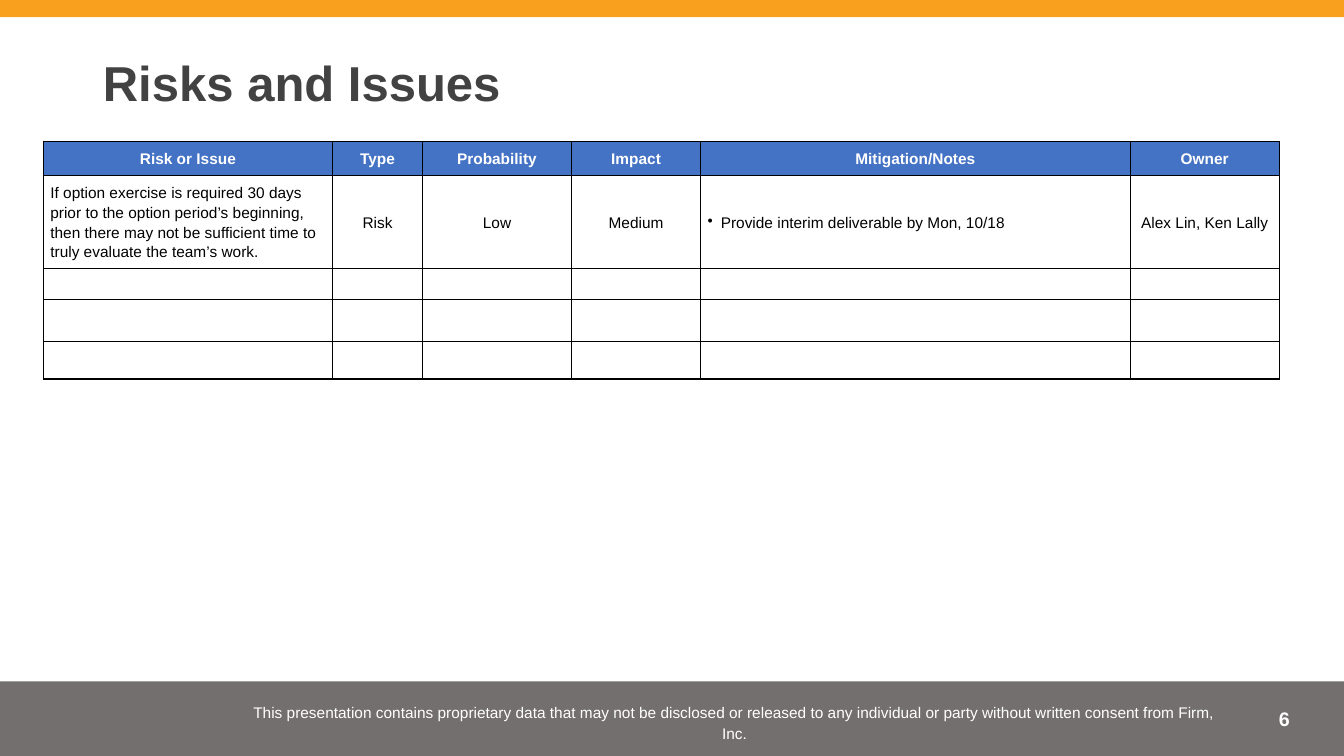
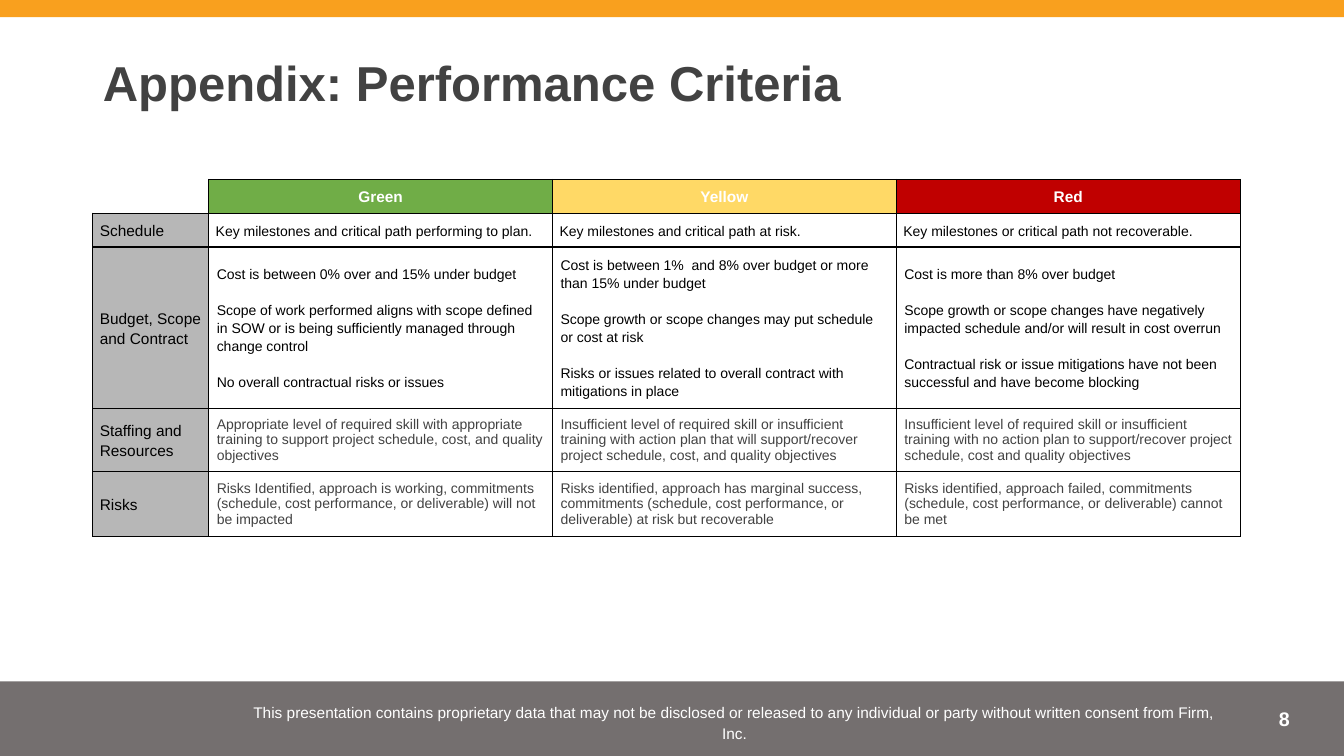
from dataclasses import dataclass, replace
from typing import NamedTuple

from lxml import etree
from pptx import Presentation
from pptx.dml.color import RGBColor
from pptx.enum.shapes import MSO_SHAPE
from pptx.enum.text import MSO_ANCHOR, MSO_AUTO_SIZE, PP_ALIGN
from pptx.oxml.ns import qn
from pptx.util import Pt

RECT = MSO_SHAPE.RECTANGLE
LEFT, CENTER, RIGHT = PP_ALIGN.LEFT, PP_ALIGN.CENTER, PP_ALIGN.RIGHT
TOP, MIDDLE = MSO_ANCHOR.TOP, MSO_ANCHOR.MIDDLE
NO_AUTOFIT = MSO_AUTO_SIZE.NONE
TITLE_ONLY = 5
PX = 9144  # EMU per px, 100 px to the inch


class Box(NamedTuple):
    x: int
    y: int
    w: int
    h: int

    def emu(self):
        return [length * PX for length in self]

    def inner(self, x, y, w, h):
        return Box(self.x + x, self.y + y, w, h)


@dataclass(frozen=True)
class Theme:
    font: str = "Arial"
    white: str = "FFFFFF"
    black: str = "000000"
    ink: str = "424242"
    orange: str = "F9A01E"
    footer: str = "4F4949"
    header: str = "4472C4"
    label: str = "B7B7B7"
    green: str = "70AD47"
    yellow: str = "FFD966"
    red: str = "C00000"
    title_size: int = 35
    number_size: int = 14
    text_size: int = 11
    small_size: int = 10
    empty_size: int = 8


@dataclass(frozen=True)
class TextStyle:
    size: int
    color: str
    bold: bool = False
    align: PP_ALIGN = LEFT
    anchor: MSO_ANCHOR = MIDDLE
    line: float = 1.15
    gap: int = 0  # points before every paragraph but the first
    bullet: bool = False
    inset: int = 7
    fill: str = ""


THEME = Theme()
PAGE = Box(0, 0, 1333, 750)

TITLE = TextStyle(THEME.title_size, THEME.ink, bold=True, line=0.9)
NUMBER = TextStyle(THEME.number_size, THEME.white, bold=True, align=RIGHT,
                   anchor=TOP, line=1)
NOTICE = TextStyle(THEME.text_size, THEME.white, align=CENTER)
HEADER = TextStyle(THEME.text_size, THEME.white, bold=True, align=CENTER,
                   fill=THEME.header)
BODY = TextStyle(THEME.text_size, THEME.black)
CENTERED = replace(BODY, align=CENTER)
BULLETED = replace(BODY, bullet=True)
LABEL = replace(BODY, fill=THEME.label)
SHORT = replace(BODY, size=THEME.small_size)
SPACED = replace(SHORT, gap=13, inset=8)
DENSE = replace(SHORT, color=THEME.ink, line=1, inset=8)

NOTICE_TEXT = ("This presentation contains proprietary data that may not be "
               "disclosed or released to any individual or party without "
               "written consent from Firm, Inc.")

RISK_COLUMNS = [287, 89, 148, 128, 426, 148]
RISK_ROWS = [34, 92, 31, 42, 37]
RISK_HEADERS = ["Risk or Issue", "Type", "Probability", "Impact",
                "Mitigation/Notes", "Owner"]
RISK = [
    ("If option exercise is required 30 days prior to the option period’s "
     "beginning, then there may not be sufficient time to truly evaluate "
     "the team’s work.", BODY),
    ("Risk", CENTERED),
    ("Low", CENTERED),
    ("Medium", CENTERED),
    ("Provide interim deliverable by Mon, 10/18", BULLETED),
    ("Alex Lin, Ken Lally", CENTERED),
]

CRITERIA_COLUMNS = [115, 341, 341, 341]
CRITERIA_ROWS = [33, 33, 160, 63, 64]
RATINGS = [("Green", THEME.green), ("Yellow", THEME.yellow), ("Red", THEME.red)]
CRITERIA = [
    ("Schedule", SHORT, [
        "Key milestones and critical path performing to plan.",
        "Key milestones and critical path at risk.",
        "Key milestones or critical path not recoverable."]),
    ("Budget, Scope and Contract", SPACED, [
        "Cost is between 0% over and 15% under budget\n"
        "Scope of work performed aligns with scope defined in SOW or is "
        "being sufficiently managed through change control\n"
        "No overall contractual risks or issues",
        "Cost is between 1%  and 8% over budget or more than 15% under budget\n"
        "Scope growth or scope changes may put schedule or cost at risk\n"
        "Risks or issues related to overall contract with mitigations in place",
        "Cost is more than 8% over budget\n"
        "Scope growth or scope changes have negatively impacted schedule "
        "and/or will result in cost overrun\n"
        "Contractual risk or issue mitigations have not been successful and "
        "have become blocking"]),
    ("Staffing and Resources", DENSE, [
        "Appropriate level of required skill with appropriate training to "
        "support project schedule, cost, and quality objectives",
        "Insufficient level of required skill or insufficient training with "
        "action plan that will support/recover project schedule, cost, and "
        "quality objectives",
        "Insufficient level of required skill or insufficient training with "
        "no action plan to support/recover project schedule, cost and "
        "quality objectives"]),
    ("Risks", DENSE, [
        "Risks Identified, approach is working, commitments (schedule, cost "
        "performance, or deliverable) will not be impacted",
        "Risks identified, approach has marginal success, commitments "
        "(schedule, cost performance, or deliverable) at risk but recoverable",
        "Risks identified, approach failed, commitments (schedule, cost "
        "performance, or deliverable) cannot be met"]),
]


# Text
def add_bullet(paragraph):
    props = paragraph._p.get_or_add_pPr()
    props.set("marL", str(13 * PX))
    props.set("indent", str(-13 * PX))
    etree.SubElement(props, qn("a:buChar")).set("char", "•")


def write(frame, text, style):
    for index, line in enumerate(text.split("\n")):
        paragraph = frame.add_paragraph() if index else frame.paragraphs[0]
        paragraph.alignment = style.align
        paragraph.line_spacing = style.line
        paragraph.space_before = Pt(style.gap if index else 0)
        if style.bullet:
            paragraph.space_after = Pt(6)
            add_bullet(paragraph)
        run = paragraph.add_run()
        run.text = line
        run.font.name = THEME.font
        run.font.size = Pt(style.size)
        run.font.bold = style.bold
        run.font.color.rgb = RGBColor.from_string(style.color)


def write_box(shape, box, text, style, inset_y=10):
    shape.left, shape.top, shape.width, shape.height = box.emu()
    frame = shape.text_frame
    frame.word_wrap = True
    frame.auto_size = NO_AUTOFIT
    frame.vertical_anchor = style.anchor
    frame.margin_left = frame.margin_right = 10 * PX
    frame.margin_top = frame.margin_bottom = inset_y * PX
    write(frame, text, style)


# Bands and notice, kept on the layout
def add_band(slide, box, color, opacity=100):
    band = slide.shapes.add_shape(RECT, *box.emu())
    band.shadow.inherit = False
    band.line.fill.background()
    band.fill.solid()
    band.fill.fore_color.rgb = RGBColor.from_string(color)
    if opacity < 100:
        tint = band._element.spPr.find(qn("a:solidFill"))[0]
        etree.SubElement(tint, qn("a:alpha")).set("val", str(opacity * 1000))
    return band


def furnish_layout(layout, slide, page):
    notice_box = page.inner(227, 689, 1003, 53)
    notice = slide.shapes.add_textbox(*notice_box.emu())
    write_box(notice, notice_box, NOTICE_TEXT, NOTICE)
    bands = [add_band(slide, page.inner(0, 676, page.w, 74), THEME.footer, 79),
             add_band(slide, page.inner(0, 0, page.w, 17), THEME.orange)]
    for number, part in enumerate(bands + [notice], start=20):
        part._element.nvSpPr.cNvPr.set("id", str(number))
        layout.shapes._spTree.append(part._element)


def add_heading(slide, page, title, number):
    write_box(slide.shapes.title, page.inner(92, 46, 1150, 77), title, TITLE)
    number_box = page.inner(1181, 696, 108, 40)
    page_number = slide.shapes.add_textbox(*number_box.emu())
    write_box(page_number, number_box, number, NUMBER, inset_y=5)


# Tables
def set_borders(cell, visible_sides="LRTB"):
    props = cell._tc.get_or_add_tcPr()
    for position, side in enumerate("LRTB"):
        line = etree.Element(qn(f"a:ln{side}"), w=str(Pt(1)))
        if side in visible_sides:
            fill = etree.SubElement(line, qn("a:solidFill"))
            etree.SubElement(fill, qn("a:srgbClr")).set("val", THEME.black)
        else:
            etree.SubElement(line, qn("a:noFill"))
        props.insert(position, line)


def fill_cell(cell, text, style):
    cell.vertical_anchor = style.anchor
    cell.margin_left = cell.margin_right = style.inset * PX
    cell.margin_top = cell.margin_bottom = style.inset * PX
    if style.fill:
        cell.fill.solid()
        cell.fill.fore_color.rgb = RGBColor.from_string(style.fill)
    else:
        cell.fill.background()
    if text:
        write(cell.text_frame, text, style)
    else:
        end = cell.text_frame.paragraphs[0]._p.get_or_add_endParaRPr()
        end.set("sz", str(THEME.empty_size * 100))


def add_grid(slide, box, widths, heights, rows):
    frame = slide.shapes.add_table(len(heights), len(widths), *box.emu())
    table = frame.table
    table.first_row = table.horz_banding = False
    for column, width in zip(table.columns, widths):
        column.width = width * PX
    for row, height, entries in zip(table.rows, heights, rows):
        row.height = height * PX
        for cell, (text, style) in zip(row.cells, entries):
            fill_cell(cell, text, style)
    return table


def add_risks(slide, x, y):
    box = Box(x, y, sum(RISK_COLUMNS), sum(RISK_ROWS))
    headers = [(name, HEADER) for name in RISK_HEADERS]
    empty = [("", BODY)] * len(RISK_COLUMNS)
    table = add_grid(slide, box, RISK_COLUMNS, RISK_ROWS,
                     [headers, RISK] + [empty] * 3)
    for cell in table.iter_cells():
        set_borders(cell)


def add_criteria(slide, x, y):
    box = Box(x, y, sum(CRITERIA_COLUMNS), sum(CRITERIA_ROWS))
    rows = [[("", BODY)] + [(name, replace(HEADER, fill=color))
                            for name, color in RATINGS]]
    for label, style, levels in CRITERIA:
        rows.append([(label, LABEL)] + [(level, style) for level in levels])
    table = add_grid(slide, box, CRITERIA_COLUMNS, CRITERIA_ROWS, rows)
    for index, cell in enumerate(table.iter_cells()):
        set_borders(cell, "LRTB" if index else "RB")


def main():
    deck = Presentation()
    deck.slide_width, deck.slide_height = PAGE.w * PX, PAGE.h * PX
    layout = deck.slide_layouts[TITLE_ONLY]

    risks = deck.slides.add_slide(layout)
    furnish_layout(layout, risks, PAGE)
    add_heading(risks, PAGE, "Risks and Issues", "6")
    add_risks(risks, 43, 140)

    criteria = deck.slides.add_slide(layout)
    add_heading(criteria, PAGE, "Appendix: Performance Criteria", "8")
    add_criteria(criteria, 92, 178)

    deck.save("out.pptx")


if __name__ == "__main__":
    main()
